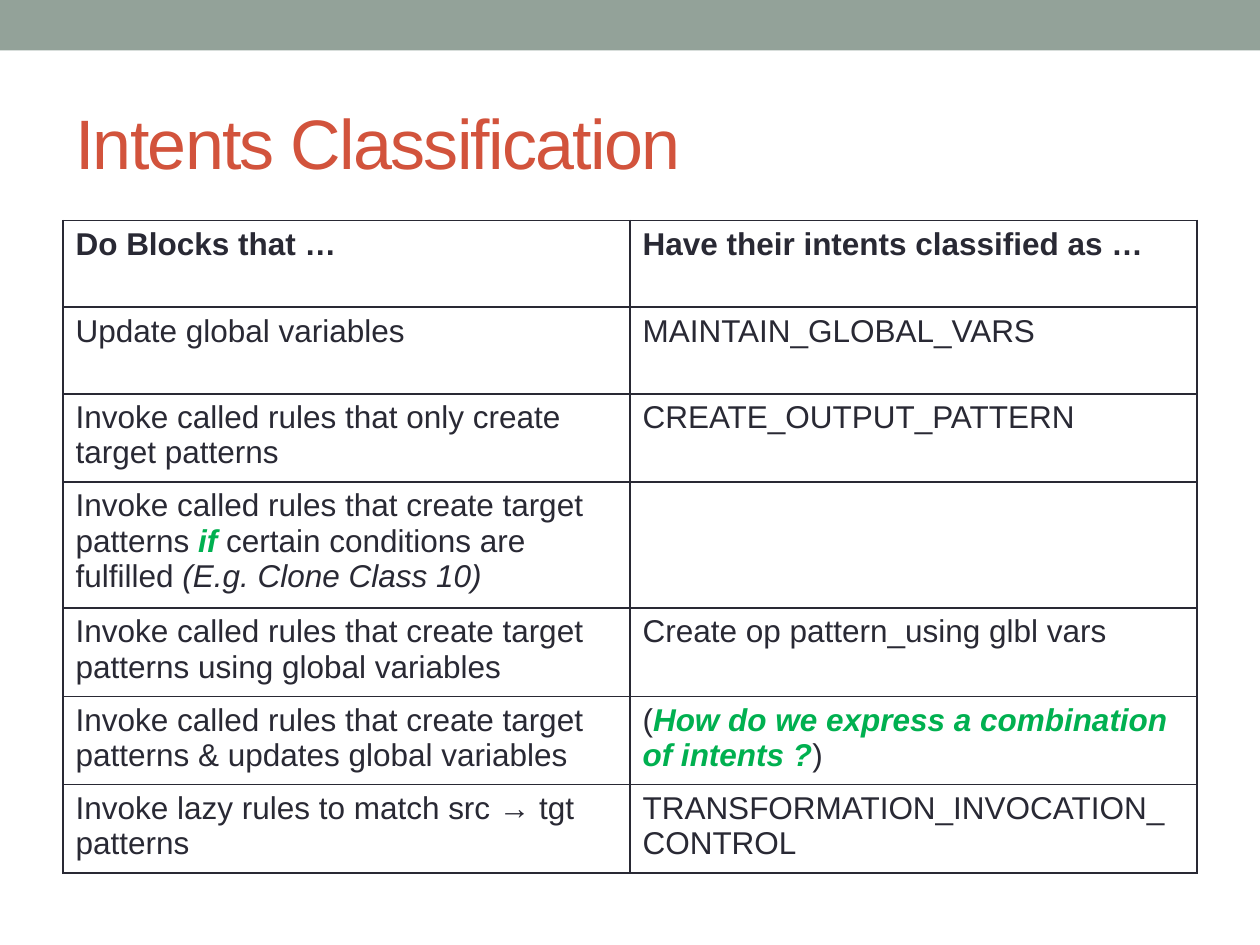
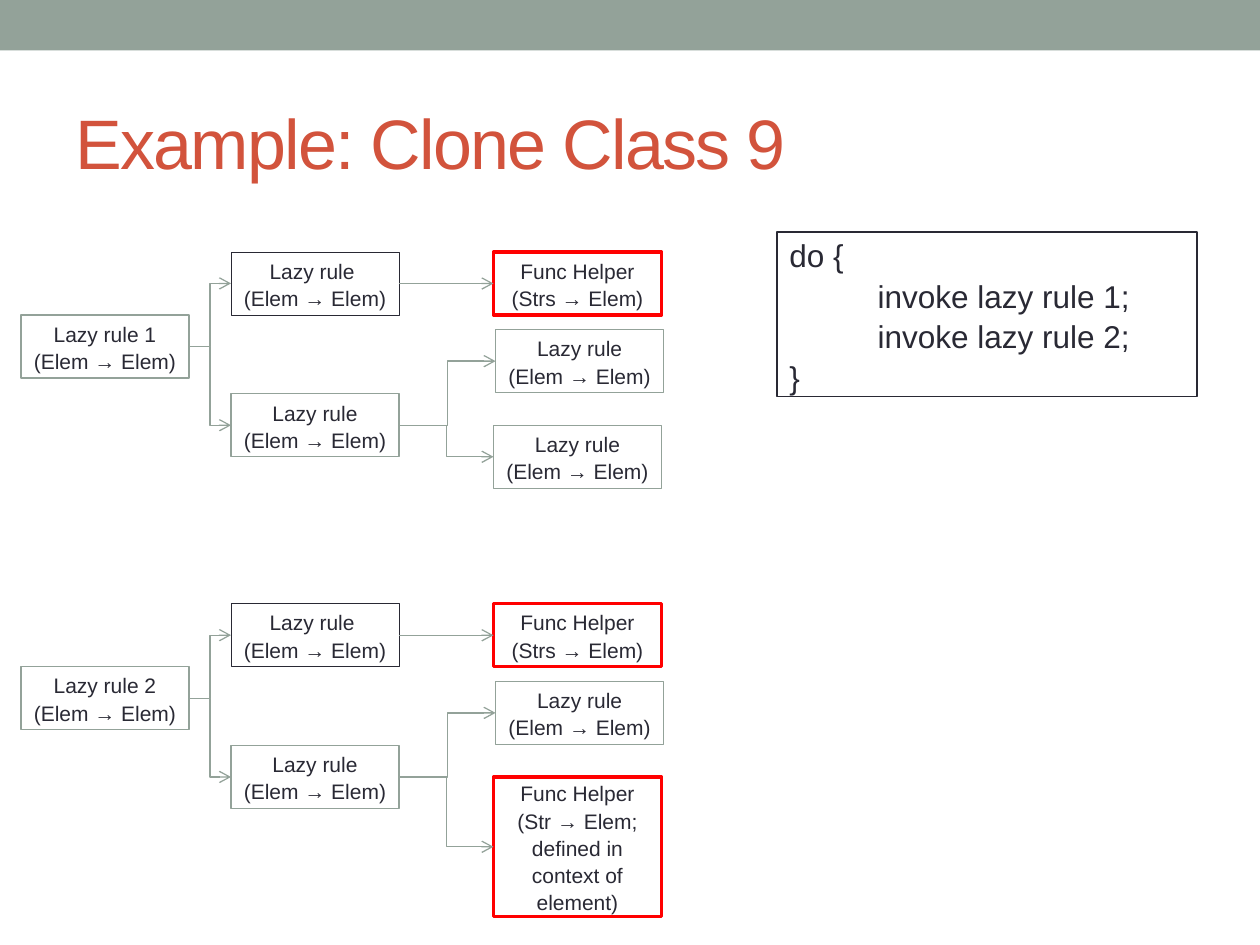
from lxml import etree
from pptx import Presentation
from pptx import util as u
from pptx.dml.color import RGBColor
from pptx.enum import shapes, text
from pptx.oxml.ns import qn

COLORS = {"band": "93A299", "title": "D2533C", "ink": "292934",
          "accent": "00B050", "alert": "FF0000"}
FONT = "Arial"
COLUMNS, ROWS = 120, 90


class Deck:
    def __init__(self):
        self.presentation = Presentation()
        self.presentation.slide_width = u.Inches(10)
        self.presentation.slide_height = u.Inches(7.5)
        self.slide = None

    def area(self, column, row, columns, rows):
        across = self.presentation.slide_width / COLUMNS
        down = self.presentation.slide_height / ROWS
        return [u.Emu(round(length)) for length in
                (column * across, row * down, columns * across, rows * down)]

    def color(self, name):
        return RGBColor.from_string(COLORS[name])

    def add_slide(self, title):
        self.slide = self.presentation.slides.add_slide(self.presentation.slide_layouts[6])
        band = self.rectangle(0, 0, COLUMNS, 4.8)
        band.fill.solid()
        band.fill.fore_color.rgb = self.color("band")
        self.title(title)

    def title(self, content):
        shape = self.slide.shapes.add_textbox(*self.area(6, 7, 108, 13))
        frame = shape.text_frame
        frame.word_wrap = True
        frame.vertical_anchor = text.MSO_ANCHOR.MIDDLE
        run = self.run(frame.paragraphs[0], content, 40, "title")
        run._r.get_or_add_rPr().set("spc", "-100")

    def run(self, paragraph, content, size, color="ink", bold=False, italic=False):
        run = paragraph.add_run()
        run.text = content
        font = run.font
        font.name, font.size = FONT, u.Pt(size)
        font.bold, font.italic = bold, italic
        font.color.rgb = self.color(color)
        return run

    def rectangle(self, *place, line=None, weight=0.75):
        shape = self.slide.shapes.add_shape(shapes.MSO_SHAPE.RECTANGLE, *self.area(*place))
        shape.shadow.inherit = False
        shape.fill.background()
        if line:
            shape.line.color.rgb = self.color(line)
            shape.line.width = u.Pt(weight)
        else:
            shape.line.fill.background()
        return shape

    def box(self, place, lines, size=12, line="band", weight=0.75,
            align=text.PP_ALIGN.CENTER, indents=()):
        shape = self.rectangle(*place, line=line, weight=weight)
        frame = shape.text_frame
        frame.word_wrap = True
        frame.vertical_anchor = text.MSO_ANCHOR.MIDDLE
        for index, content in enumerate(lines):
            paragraph = frame.paragraphs[0] if index == 0 else frame.add_paragraph()
            paragraph.alignment = align
            paragraph.line_spacing = 1.08
            if index in indents:
                paragraph._p.get_or_add_pPr().set("marL", str(u.Inches(0.7)))
            self.run(paragraph, content, size)
        return shape

    def arrow(self, source, target):
        connector = self.slide.shapes.add_connector(shapes.MSO_CONNECTOR.ELBOW, 0, 0, 0, 0)
        connector.begin_connect(source, 3)
        connector.end_connect(target, 1)
        connector.line.color.rgb = self.color("band")
        connector.line.width = u.Pt(0.75)
        etree.SubElement(connector.line._get_or_add_ln(), qn("a:tailEnd"), type="arrow")
        etree.SubElement(connector._element.spPr, qn("a:effectLst"))

    def border(self, cell):
        properties = cell._tc.get_or_add_tcPr()
        for side in ("lnL", "lnR", "lnT", "lnB"):
            edge = etree.SubElement(properties, qn(f"a:{side}"), w=str(u.Pt(1)))
            fill = etree.SubElement(edge, qn("a:solidFill"))
            etree.SubElement(fill, qn("a:srgbClr"), val=COLORS["ink"])

    def table(self, place, records, size=18):
        frame = self.slide.shapes.add_table(len(records), len(records[0]), *self.area(*place))
        table = frame.table
        table.first_row = table.horz_banding = False
        for row, record in enumerate(records):
            for column, content in enumerate(record):
                cell = table.cell(row, column)
                self.border(cell)
                cell.fill.background()
                pieces = [(content, {})] if isinstance(content, str) else content
                for words, style in pieces:
                    if words:
                        self.run(cell.text_frame.paragraphs[0], words, size,
                                 **{"bold": row == 0, **style})

    def rule_tree(self, top, name, last_lines, last_rows, last_style):
        mapping = "(Elem → Elem)"
        alert = {"line": "alert", "weight": 2}

        def node(column, row, lines, rows=6, **style):
            return self.box((column, top + row, 16, rows), lines, **style)

        root = node(2, 6, [name, mapping])
        upper = node(22, 0, ["Lazy rule ", mapping], line="ink", weight=0.25)
        lower = node(22, 13.5, ["Lazy rule", mapping])
        helper = node(47, 0, ["Func Helper", "(Strs → Elem)"], **alert)
        middle = node(47.2, 7.4, ["Lazy rule", mapping])
        last = node(47, 16.5, last_lines, last_rows, **(alert if last_style == "alert" else {}))
        for source, target in ((root, upper), (root, lower), (upper, helper),
                               (lower, middle), (lower, last)):
            self.arrow(source, target)


ACCENT = {"color": "accent", "bold": True, "italic": True}
INTENTS = [
    ("Do Blocks that … ", "Have their intents classified as …"),
    ("Update global variables", "MAINTAIN_GLOBAL_VARS"),
    ("Invoke called rules that only create target patterns", "CREATE_OUTPUT_PATTERN"),
    ([("Invoke called rules that create target patterns ", {}), ("if", ACCENT),
      (" certain conditions are fulfilled ", {}),
      ("(E.g. Clone Class 10)", {"italic": True})], ""),
    ("Invoke called rules that create target patterns using global variables",
     "Create op pattern_using glbl vars"),
    ("Invoke called rules that create target patterns & updates global variables",
     [("(", {}), ("How do we express a combination of intents ?", ACCENT), (")", {})]),
    ("Invoke lazy rules to match src → tgt patterns", "TRANSFORMATION_INVOCATION_CONTROL"),
]

deck = Deck()

deck.add_slide("Intents Classification")
deck.table((6, 21, 108, 57.8), INTENTS)

deck.add_slide("Example: Clone Class 9")
deck.rule_tree(24, "Lazy rule 1", ["Lazy rule", "(Elem → Elem)"], 6, "plain")
deck.rule_tree(57.5, "Lazy rule 2",
               ["Func Helper", "(Str → Elem; defined in context of element)"], 13.3, "alert")
deck.box((74, 22.1, 40, 15.7),
         ["do {", "invoke lazy rule 1;", "invoke lazy rule 2;", "}"],
         size=18, line="ink", align=text.PP_ALIGN.LEFT, indents=(1, 2))

deck.presentation.save("out.pptx")
